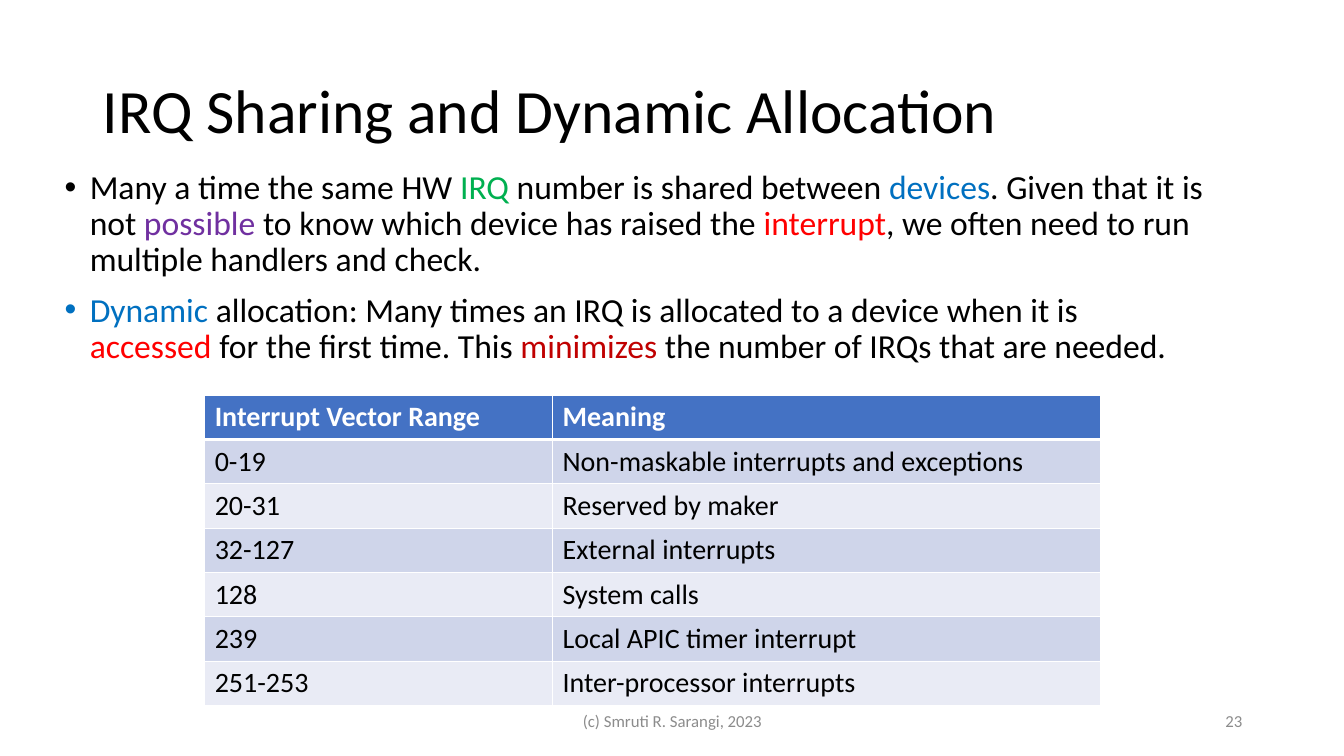
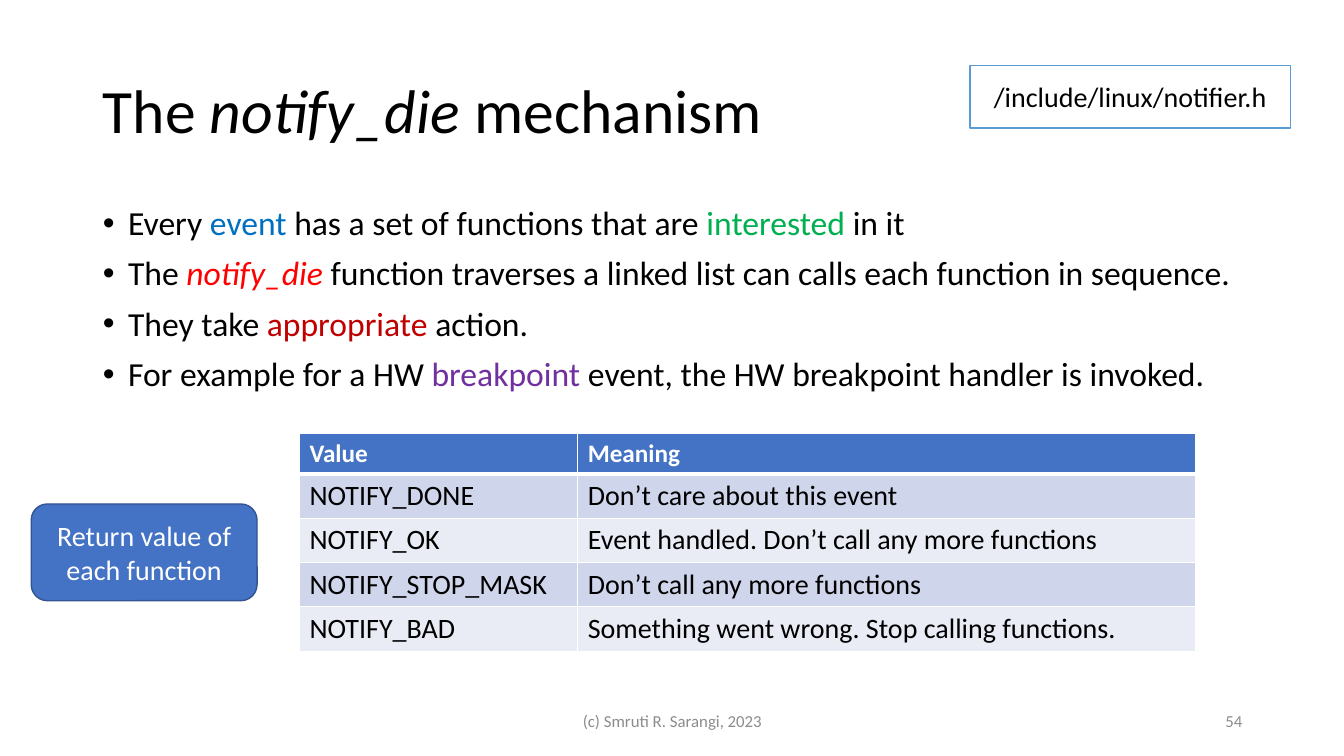
import pptx
import pptx.util
import pptx.dml.color
import pptx.enum.shapes
import pptx.enum.text
import pptx.oxml
import pptx.oxml.ns

Inches, Pt = pptx.util.Inches, pptx.util.Pt
ALIGN = pptx.enum.text.PP_ALIGN
MIDDLE = pptx.enum.text.MSO_ANCHOR.MIDDLE
SHAPE = pptx.enum.shapes.MSO_SHAPE

# Shared look
WIDTH, HEIGHT = 13.33, 7.5
FONT = "Calibri"
COLORS = {
    "black": "000000", "white": "FFFFFF", "gray": "8C8C8C",
    "green": "00B050", "blue": "0070C0", "purple": "7030A0",
    "red": "FF0000", "crimson": "C00000",
    "accent": "4472C4", "accent edge": "325491", "path edge": "5B9BD5",
    "band dark": "CFD5EA", "band light": "E9EBF5",
}
TITLE_AREA = (0.92, 0.4, 11.5, 1.45)
FOOTER = "(c) Smruti R. Sarangi, 2023"
FOOTER_AREA = (4.42, 6.95, 4.5, 0.4)
NUMBER_AREA = (9.42, 6.95, 3, 0.4)
TABLE_WIDTH = 8.89
ROW_PER_POINT = 0.022  # row height in inches for each point of text

# Content: a span is plain text or (text, color[, "italic"])
SLIDES = [
    {
        "number": 23,
        "title": ["IRQ Sharing and Dynamic Allocation"],
        "body area": (0.54, 1.64, 11.5, 2.11),
        "body": [
            ["Many a time the same HW ", ("IRQ", "green"), " number is shared between ",
             ("devices", "blue"), ". Given that it is not ", ("possible", "purple"),
             " to know which device has raised the ", ("interrupt", "red"),
             ", we often need to run multiple handlers and check."],
            [("Dynamic", "blue"),
             " allocation: Many times an IRQ is allocated to a device when it is ",
             ("accessed", "red"), " for the first time. This ", ("minimizes", "crimson"),
             " the number of IRQs that are needed."],
        ],
        "table": {
            "corner": (2.03, 3.92), "first column": 3.45, "header size": 20,
            "rows": [
                ("Interrupt Vector Range", "Meaning"),
                ("0-19", "Non-maskable interrupts and exceptions"),
                ("20-31", "Reserved by maker"),
                ("32-127", "External interrupts"),
                ("128", "System calls"),
                ("239", "Local APIC timer interrupt"),
                ("251-253", "Inter-processor interrupts"),
            ],
        },
        "labels": [],
    },
    {
        "number": 54,
        "title": ["The ", ("notify_die ", "black", "italic"), "mechanism"],
        "body area": (0.92, 2, 11.5, 2.09),
        "body": [
            ["Every ", ("event", "blue"), " has a set of functions that are ",
             ("interested", "green"), " in it"],
            ["The ", ("notify_die", "red", "italic"),
             " function traverses a linked list can calls each function in sequence."],
            ["They take ", ("appropriate", "crimson"), " action."],
            ["For example for a HW ", ("breakpoint", "purple"),
             " event, the HW breakpoint handler is invoked."],
        ],
        "table": {
            "corner": (2.97, 4.3), "first column": 2.76, "header size": 18,
            "rows": [
                ("Value", "Meaning"),
                ("NOTIFY_DONE", "Don’t care about this event"),
                ("NOTIFY_OK", "Event handled. Don’t call any more functions"),
                ("NOTIFY_STOP_MASK", "Don’t call any more functions"),
                ("NOTIFY_BAD", "Something went wrong. Stop calling functions."),
            ],
        },
        # text, preset, area, fill, edge, text color
        "labels": [
            ("Return value of each function", SHAPE.ROUNDED_RECTANGLE,
             (0.31, 5, 2.24, 0.96), "accent", "accent edge", "white"),
            ("/include/linux/notifier.h", SHAPE.RECTANGLE,
             (9.62, 0.65, 3.18, 0.62), "white", "path edge", "black"),
        ],
    },
]


def rgb(name):
    return pptx.dml.color.RGBColor.from_string(COLORS[name])


def place(box, area):
    box.left, box.top, box.width, box.height = map(Inches, area)


def write(para, spans, size, color="black", bold=False):
    for span in spans:
        text, tint, *style = (span, color) if isinstance(span, str) else span
        run = para.add_run()
        run.text = text
        run.font.name, run.font.size = FONT, Pt(size)
        run.font.bold, run.font.italic = bold, "italic" in style
        run.font.color.rgb = rgb(tint)


def fill_frame(box, text, size, color, align):
    frame = box.text_frame
    frame.word_wrap = True
    frame.vertical_anchor = MIDDLE
    para = frame.paragraphs[0]
    para.alignment = align
    write(para, [text], size, color)


def add_title(slide, spans):
    title = slide.shapes.title
    place(title, TITLE_AREA)
    title.text_frame.vertical_anchor = MIDDLE
    title.text_frame.auto_size = pptx.enum.text.MSO_AUTO_SIZE.NONE
    para = title.text_frame.paragraphs[0]
    para.alignment, para.line_spacing = ALIGN.LEFT, 0.9
    write(para, spans, 44)


def add_body(slide, area, items):
    body = slide.placeholders[1]
    place(body, area)
    frame = body.text_frame
    frame.auto_size = pptx.enum.text.MSO_AUTO_SIZE.NONE
    for index, spans in enumerate(items):
        para = frame.add_paragraph() if index else frame.paragraphs[0]
        para.line_spacing = 0.9
        para.space_before = Pt(10 if index else 0)
        properties = para._p.get_or_add_pPr()
        properties.set("marL", str(Inches(0.25)))
        properties.set("indent", str(-Inches(0.25)))
        write(para, spans, 24)


def add_border(cell, side, points):
    cell._tc.get_or_add_tcPr().append(pptx.oxml.parse_xml(
        f'<a:ln{side} {pptx.oxml.ns.nsdecls("a")} w="{Pt(points)}"><a:solidFill>'
        f'<a:srgbClr val="{COLORS["white"]}"/></a:solidFill></a:ln{side}>'))


def add_table(slide, corner, first_column, header_size, rows):
    sizes = [header_size] + [20] * (len(rows) - 1)
    heights = [ROW_PER_POINT * size for size in sizes]
    area = (*corner, TABLE_WIDTH, sum(heights))
    table = slide.shapes.add_table(len(rows), 2, *map(Inches, area)).table
    for column, width in zip(table.columns, (first_column, TABLE_WIDTH - first_column)):
        column.width = Inches(width)
    for index, texts in enumerate(rows):
        table.rows[index].height = Inches(heights[index])
        header = index == 0
        fill = "accent" if header else "band dark" if index % 2 else "band light"
        borders = {"L": 1, "R": 1, "T": 3 if index == 1 else 1, "B": 3 if header else 1}
        for cell, text in zip(table.rows[index].cells, texts):
            for side, points in borders.items():
                add_border(cell, side, points)
            cell.fill.solid()
            cell.fill.fore_color.rgb = rgb(fill)
            write(cell.text_frame.paragraphs[0], [text], sizes[index],
                  "white" if header else "black", bold=header)


def add_label(slide, text, preset, area, fill, edge, color):
    label = slide.shapes.add_shape(preset, *map(Inches, area))
    label.shadow.inherit = False
    label.fill.solid()
    label.fill.fore_color.rgb = rgb(fill)
    label.line.color.rgb = rgb(edge)
    label.line.width = Pt(1)
    fill_frame(label, text, 20, color, ALIGN.CENTER)


def add_footer(slide, number):
    for text, area, align in ((FOOTER, FOOTER_AREA, ALIGN.CENTER),
                              (str(number), NUMBER_AREA, ALIGN.RIGHT)):
        box = slide.shapes.add_textbox(*map(Inches, area))
        fill_frame(box, text, 12, "gray", align)


def main():
    deck = pptx.Presentation()
    deck.slide_width, deck.slide_height = Inches(WIDTH), Inches(HEIGHT)
    for content in SLIDES:
        slide = deck.slides.add_slide(deck.slide_layouts[1])
        add_title(slide, content["title"])
        add_body(slide, content["body area"], content["body"])
        add_footer(slide, content["number"])
        table = content["table"]
        add_table(slide, table["corner"], table["first column"],
                  table["header size"], table["rows"])
        for label in content["labels"]:
            add_label(slide, *label)
    deck.save("out.pptx")


if __name__ == "__main__":
    main()
